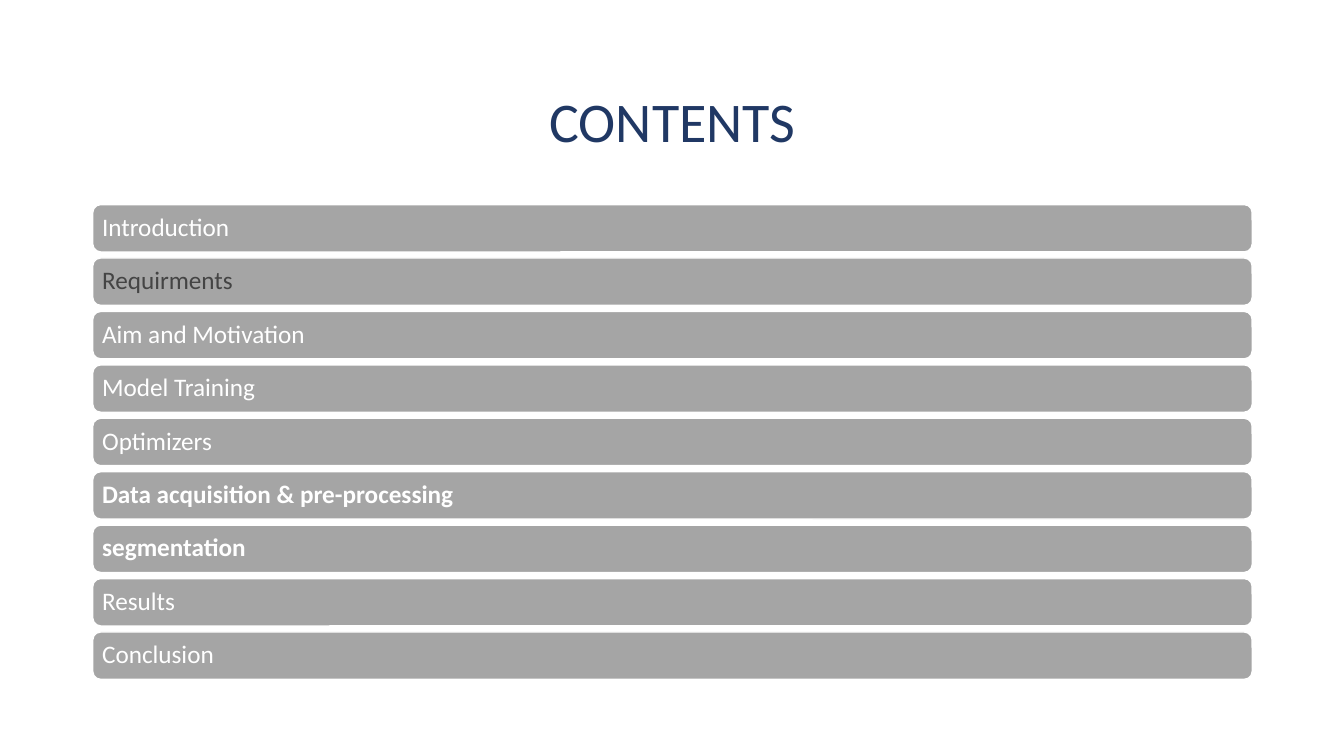
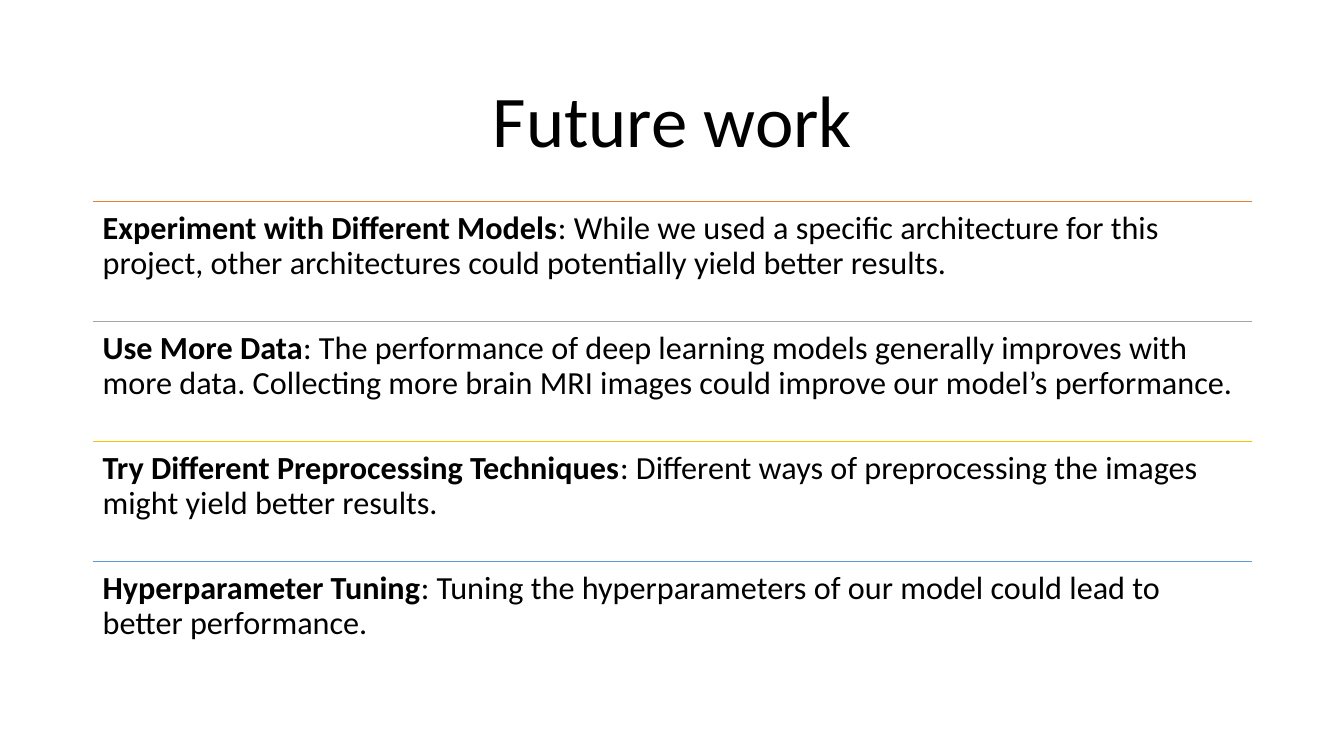
from dataclasses import dataclass

from lxml.etree import SubElement
from pptx import Presentation
from pptx.dml.color import RGBColor
from pptx.enum.shapes import MSO_CONNECTOR, MSO_SHAPE
from pptx.enum.text import MSO_ANCHOR, MSO_AUTO_SIZE, PP_ALIGN
from pptx.oxml.ns import qn
from pptx.presentation import Presentation as Deck
from pptx.slide import Slide
from pptx.text.text import TextFrame
from pptx.util import Inches, Pt

FONT = "Calibri"
WHITE, BLACK, NAVY, GRAY, CHARCOAL = "FFFFFF", "000000", "203864", "A5A5A5", "444444"
ORANGE, GOLD, BLUE = "ED7D31", "FFC000", "5B9BD5"

SLIDE_WIDTH, SLIDE_HEIGHT = 13.33, 7.5
LEFT, CONTENT_WIDTH = 0.92, 11.5
TITLE_TOP, TITLE_HEIGHT = 0.61, 1.24
TITLE_ONLY_LAYOUT = 5

TOPICS_TOP, TOPIC_PITCH, TOPIC_HEIGHT = 2.03, 0.53, 0.47
IDEAS_TOP, IDEA_PITCH = 2.0, 1.19


@dataclass(frozen=True)
class Topic:
    label: str
    color: str = WHITE
    bold: bool = False


@dataclass(frozen=True)
class Idea:
    heading: str
    detail: str
    rule_color: str


TOPICS = [
    Topic("Introduction"),
    Topic("Requirments", color=CHARCOAL),
    Topic("Aim and Motivation"),
    Topic("Model Training"),
    Topic("Optimizers"),
    Topic("Data acquisition & pre-processing", bold=True),
    Topic("segmentation", bold=True),
    Topic("Results"),
    Topic("Conclusion"),
]

IDEAS = [
    Idea(
        "Experiment with Different Models",
        ": While we used a specific architecture for this project, "
        "other architectures could potentially yield better results.",
        ORANGE,
    ),
    Idea(
        "Use More Data",
        ": The performance of deep learning models generally improves with more data. "
        "Collecting more brain MRI images could improve our model’s performance.",
        GRAY,
    ),
    Idea(
        "Try Different Preprocessing Techniques",
        ": Different ways of preprocessing the images might yield better results.",
        GOLD,
    ),
    Idea(
        "Hyperparameter Tuning",
        ": Tuning the hyperparameters of our model could lead to better performance.",
        BLUE,
    ),
]


def rgb(color: str) -> RGBColor:
    return RGBColor.from_string(color)


def add_text(frame: TextFrame, text: str, *, size: float, color: str,
             bold: bool = False, align: PP_ALIGN = PP_ALIGN.LEFT) -> None:
    paragraph = frame.paragraphs[0]
    paragraph.alignment = align
    paragraph.line_spacing = 0.9
    run = paragraph.add_run()
    run.text = text
    run.font.name = FONT
    run.font.size = Pt(size)
    run.font.bold = bold
    run.font.color.rgb = rgb(color)


def set_frame(frame: TextFrame, anchor: MSO_ANCHOR, inset: float) -> None:
    frame.word_wrap = True
    frame.auto_size = MSO_AUTO_SIZE.NONE
    frame.vertical_anchor = anchor
    frame.margin_left = frame.margin_right = Inches(inset)
    frame.margin_top = frame.margin_bottom = Inches(inset)


def add_titled_slide(deck: Deck, heading: str, size: float, color: str) -> Slide:
    slide = deck.slides.add_slide(deck.slide_layouts[TITLE_ONLY_LAYOUT])
    title = slide.shapes.title
    title.left, title.top = Inches(LEFT), Inches(TITLE_TOP)
    title.width, title.height = Inches(CONTENT_WIDTH), Inches(TITLE_HEIGHT)
    set_frame(title.text_frame, MSO_ANCHOR.MIDDLE, 0.05)
    add_text(title.text_frame, heading, size=size, color=color, align=PP_ALIGN.CENTER)
    return slide


def add_topic(slide: Slide, topic: Topic, row: int) -> None:
    bar = slide.shapes.add_shape(
        MSO_SHAPE.ROUNDED_RECTANGLE,
        Inches(LEFT), Inches(TOPICS_TOP + row * TOPIC_PITCH),
        Inches(CONTENT_WIDTH), Inches(TOPIC_HEIGHT),
    )
    bar.shadow.inherit = False
    bar.fill.solid()
    bar.fill.fore_color.rgb = rgb(GRAY)
    bar.line.color.rgb = rgb(WHITE)
    bar.line.width = Pt(1)
    set_frame(bar.text_frame, MSO_ANCHOR.MIDDLE, 0.07)
    add_text(bar.text_frame, topic.label, size=18, color=topic.color, bold=topic.bold)


def add_idea(slide: Slide, idea: Idea, row: int) -> None:
    left, top = Inches(LEFT), Inches(IDEAS_TOP + row * IDEA_PITCH)
    width = Inches(CONTENT_WIDTH)
    rule = slide.shapes.add_connector(MSO_CONNECTOR.STRAIGHT, left, top, left + width, top)
    rule.line.color.rgb = rgb(idea.rule_color)
    rule.line.width = Pt(1)
    SubElement(rule._element.spPr, qn("a:effectLst"))
    passage = slide.shapes.add_textbox(left, top, width, Inches(IDEA_PITCH)).text_frame
    set_frame(passage, MSO_ANCHOR.TOP, 0.1)
    add_text(passage, idea.heading, size=23, color=BLACK, bold=True)
    add_text(passage, idea.detail, size=23, color=BLACK)


def main() -> None:
    deck = Presentation()
    deck.slide_width, deck.slide_height = Inches(SLIDE_WIDTH), Inches(SLIDE_HEIGHT)

    contents = add_titled_slide(deck, "CONTENTS", 40, NAVY)
    for row, topic in enumerate(TOPICS):
        add_topic(contents, topic, row)

    future_work = add_titled_slide(deck, "Future work", 52, BLACK)
    for row, idea in enumerate(IDEAS):
        add_idea(future_work, idea, row)

    deck.save("out.pptx")


if __name__ == "__main__":
    main()
